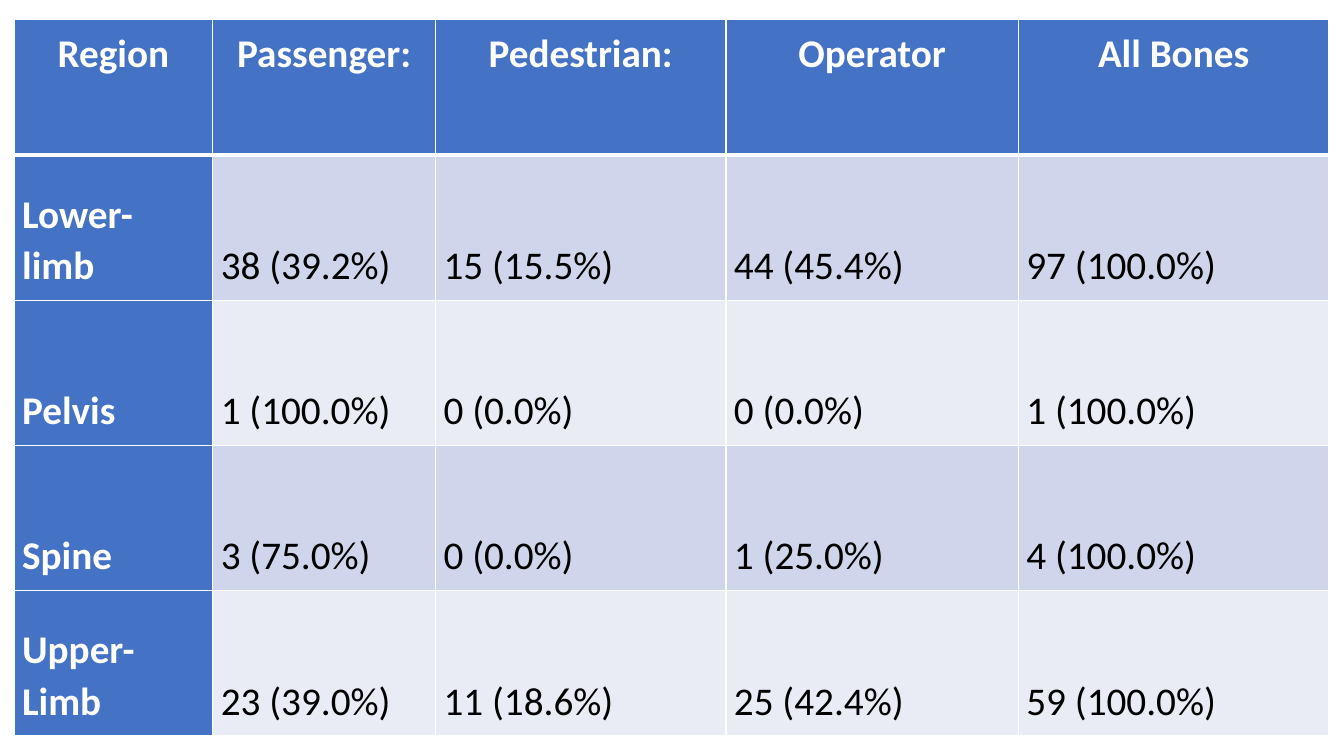
import dataclasses

import pptx
import pptx.dml.color
import pptx.enum.text
import pptx.oxml
import pptx.oxml.ns
import pptx.slide
import pptx.table
import pptx.util
from pptx.util import Inches


@dataclasses.dataclass(frozen=True)
class Theme:
    font: str = "Calibri"
    size: int = 28
    accent: str = "4472C4"
    bands: tuple[str, str] = ("CFD5EA", "E9EBF5")
    light: str = "FFFFFF"
    dark: str = "000000"
    thin_line: int = 1
    header_line: int = 3


@dataclasses.dataclass(frozen=True)
class RegionRow:
    region: str
    counts: tuple[str, ...]


THEME = Theme()
COLUMN_WIDTHS = (1.97, 2.21, 2.88, 2.9, 3.08)
HEADER_HEIGHT = 1.35
BODY_HEIGHT = 1.44

HEADER = RegionRow("Region", ("Passenger:", "Pedestrian:", "Operator", "All Bones"))
BODY = (
    RegionRow("Lower-limb", ("38 (39.2%)", "15 (15.5%)", "44 (45.4%)", "97 (100.0%)")),
    RegionRow("Pelvis", ("1 (100.0%)", "0 (0.0%)", "0 (0.0%)", "1 (100.0%)")),
    RegionRow("Spine", ("3 (75.0%)", "0 (0.0%)", "1 (25.0%)", "4 (100.0%)")),
    RegionRow("Upper-Limb", ("23 (39.0%)", "11 (18.6%)", "25 (42.4%)", "59 (100.0%)")),
)


def apply_format(target: object, values: dict[str, object]) -> None:
    for name, value in values.items():
        setattr(target, name, value)


def color(value: str) -> pptx.dml.color.RGBColor:
    return pptx.dml.color.RGBColor.from_string(value)


def draw_borders(cell: pptx.table._Cell, row: int) -> None:
    """Cell borders come before the fill in the cell properties."""
    widths = {
        "lnL": THEME.thin_line,
        "lnR": THEME.thin_line,
        "lnT": THEME.header_line if row == 1 else THEME.thin_line,
        "lnB": THEME.header_line if row == 0 else THEME.thin_line,
    }
    properties = cell._tc.get_or_add_tcPr()
    for position, (side, width) in enumerate(widths.items()):
        border = pptx.oxml.parse_xml(
            f'<a:{side} {pptx.oxml.ns.nsdecls("a")} w="{pptx.util.Pt(width)}">'
            f'<a:solidFill><a:srgbClr val="{THEME.light}"/></a:solidFill></a:{side}>'
        )
        properties.insert(position, border)


def draw_cell(cell: pptx.table._Cell, text: str, row: int, column: int) -> None:
    is_header = row == 0
    is_heading = is_header or column == 0
    vertical_margin = Inches(0.08 if is_header else 0.1)
    anchors = pptx.enum.text.MSO_ANCHOR
    alignments = pptx.enum.text.PP_ALIGN

    # Cell box
    apply_format(cell, {
        "text": text,
        "margin_left": Inches(0.08),
        "margin_right": Inches(0.08),
        "margin_top": vertical_margin,
        "margin_bottom": vertical_margin,
        "vertical_anchor": anchors.TOP if is_header else anchors.BOTTOM,
    })
    cell.fill.solid()
    cell.fill.fore_color.rgb = color(
        THEME.accent if is_heading else THEME.bands[(row - 1) % 2]
    )
    draw_borders(cell, row)

    # Cell text
    paragraph = cell.text_frame.paragraphs[0]
    apply_format(paragraph, {
        "alignment": alignments.CENTER if is_header else alignments.LEFT,
        "line_spacing": 1.07,
        "space_before": pptx.util.Pt(12),
        "space_after": pptx.util.Pt(12),
    })
    font = paragraph.runs[0].font
    apply_format(font, {
        "name": THEME.font,
        "size": pptx.util.Pt(THEME.size),
        "bold": is_heading,
    })
    font.color.rgb = color(THEME.light if is_heading else THEME.dark)


def draw_region_table(slide: pptx.slide.Slide) -> None:
    rows = (HEADER, *BODY)
    heights = (HEADER_HEIGHT, *[BODY_HEIGHT] * len(BODY))
    table = slide.shapes.add_table(
        len(rows), len(COLUMN_WIDTHS), Inches(0.14), Inches(0.19),
        Inches(sum(COLUMN_WIDTHS)), Inches(sum(heights)),
    ).table
    table.first_col = True
    for column, width in zip(table.columns, COLUMN_WIDTHS):
        column.width = Inches(width)
    for row, (region_row, height) in enumerate(zip(rows, heights)):
        table.rows[row].height = Inches(height)
        for column, text in enumerate((region_row.region, *region_row.counts)):
            draw_cell(table.cell(row, column), text, row, column)


def main() -> None:
    presentation = pptx.Presentation()
    apply_format(presentation, {
        "slide_width": Inches(13.33),
        "slide_height": Inches(7.5),
    })
    # The slide has no title, so it uses the blank layout
    slide = presentation.slides.add_slide(presentation.slide_layouts[6])
    draw_region_table(slide)
    presentation.save("out.pptx")


if __name__ == "__main__":
    main()
